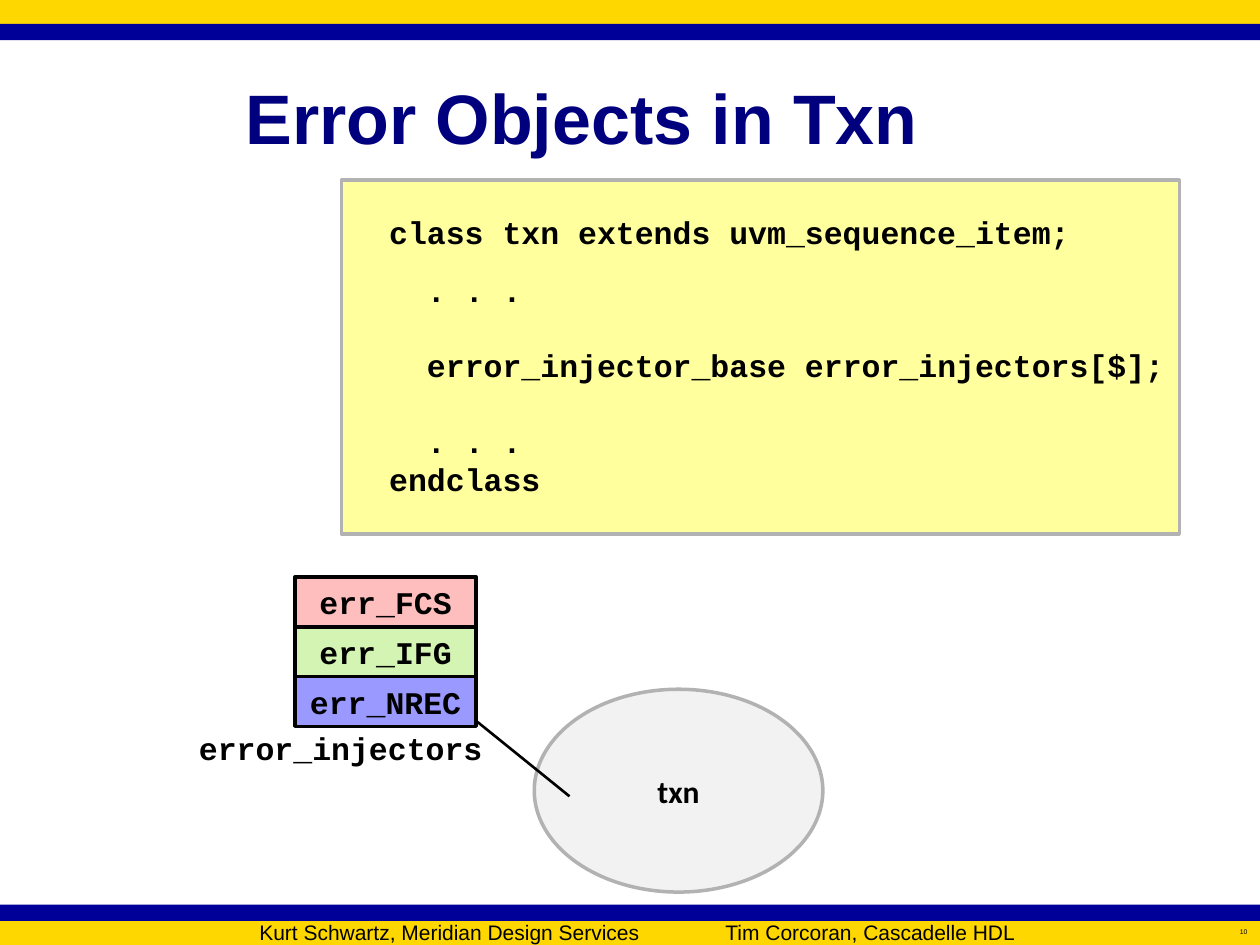
from dataclasses import dataclass

from lxml import etree
from pptx import Presentation
from pptx import util as u
from pptx.dml.color import RGBColor
from pptx.enum import shapes, text
from pptx.oxml.ns import qn

WIDTH, HEIGHT = 10, 7.5
GOLD, BLUE, NAVY = "FFD700", "000099", "00007F"
BLACK, GREY = "000000", "B2B2B2"
CODE = "Courier New"
LINE_HEIGHT = 21.6  # points per line of code
INDENT = 0.3  # two code characters
LEFT, CENTER, RIGHT = text.PP_ALIGN.LEFT, text.PP_ALIGN.CENTER, text.PP_ALIGN.RIGHT


@dataclass
class Area:
    left: float
    top: float
    width: float
    height: float

    def emu(self):
        return [u.Inches(v) for v in (self.left, self.top, self.width, self.height)]


@dataclass
class Style:
    font: str = CODE
    size: float = 18
    bold: bool = True
    color: str = BLACK
    align: text.PP_ALIGN = LEFT


@dataclass
class Line:
    words: str
    indent: float = 0
    blank_above: int = 0


def rgb(color: str) -> RGBColor:
    return RGBColor.from_string(color)


def write(shape, lines: list[Line], style: Style, middle: bool, wrap: bool = True) -> None:
    frame = shape.text_frame
    frame.word_wrap = wrap
    frame.vertical_anchor = text.MSO_ANCHOR.MIDDLE if middle else text.MSO_ANCHOR.TOP
    for number, line in enumerate(lines):
        para = frame.add_paragraph() if number else frame.paragraphs[0]
        para.text = line.words
        para.alignment = style.align
        para.font.name, para.font.size = style.font, u.Pt(style.size)
        para.font.bold, para.font.color.rgb = style.bold, rgb(style.color)
        if style.font == CODE:
            para.line_spacing = u.Pt(LINE_HEIGHT)
        if line.blank_above:
            para.space_before = u.Pt(line.blank_above * LINE_HEIGHT)
        if line.indent:
            para._p.get_or_add_pPr().set("marL", str(u.Inches(line.indent)))


def add_text(page, area: Area, lines: list[Line], style: Style, middle=False, wrap=False):
    box = page.shapes.add_textbox(*area.emu())
    write(box, lines, style, middle, wrap)
    return box


def add_block(page, area: Area, fill: str, outline: str = "", label: str = "",
              font: str = CODE, kind=shapes.MSO_SHAPE.RECTANGLE):
    block = page.shapes.add_shape(kind, *area.emu())
    block.shadow.inherit = False
    block.fill.solid()
    block.fill.fore_color.rgb = rgb(fill)
    if outline:
        block.line.color.rgb = rgb(outline)
        block.line.width = u.Pt(2)
    else:
        block.line.fill.background()
    if label:
        write(block, [Line(label)], Style(font=font, align=CENTER), middle=True)
    return block


def add_line(page, start: tuple[float, float], end: tuple[float, float]) -> None:
    line = page.shapes.add_connector(
        shapes.MSO_CONNECTOR.STRAIGHT, *[u.Inches(v) for v in start + end])
    line.line.color.rgb = rgb(BLACK)
    line.line.width = u.Pt(1.5)
    etree.SubElement(line._element.spPr, qn("a:effectLst"))


def main() -> None:
    deck = Presentation()
    deck.slide_width, deck.slide_height = u.Inches(WIDTH), u.Inches(HEIGHT)
    page = deck.slides.add_slide(deck.slide_layouts[6])

    # Gold and blue bands, mirrored at top and bottom
    gold, blue = 0.19, 0.13
    for top, height, color in (
        (0, gold, GOLD), (gold, blue, BLUE),
        (HEIGHT - gold, gold, GOLD), (HEIGHT - gold - blue, blue, BLUE),
    ):
        add_block(page, Area(0, top, WIDTH, height), color)

    # Title
    add_text(page, Area(1.85, 0.3, 8, 1.25), [Line("Error Objects in Txn")],
             Style("Arial", 40, color=NAVY), middle=True, wrap=True)

    # Footer: two authors and the page number
    footer = Style("Arial", 12, bold=False)
    for left, width, words in (
        (1.96, 3.4, "Kurt Schwartz, Meridian Design Services"),
        (5.66, 3, "Tim Corcoran, Cascadelle HDL"),
    ):
        add_text(page, Area(left, HEIGHT - gold, width, 0.17), [Line(words)],
                 footer, middle=True, wrap=True)
    add_text(page, Area(9, HEIGHT - gold, 1, 0.17), [Line("10")],
             Style("Arial", 3.9, bold=False, align=RIGHT), middle=True, wrap=True)

    # Class listing
    add_block(page, Area(2.71, 1.43, 6.65, 2.81), "FFFF9E", GREY)
    add_text(page, Area(2.99, 2.1, 6.35, 1.9), [
        Line(". . .", INDENT),
        Line("error_injector_base error_injectors[$];", INDENT, blank_above=1),
        Line(". . .", INDENT, blank_above=1),
        Line("endclass"),
    ], Style())
    add_text(page, Area(2.99, 1.64, 5.6, 0.4),
             [Line("class txn extends uvm_sequence_item;")], Style())

    # Queue of error injectors
    row = 0.395
    for number, (label, color) in enumerate((
        ("err_FCS", "FFBEBE"), ("err_IFG", "D4F4B3"), ("err_NREC", "9999FF"),
    )):
        add_block(page, Area(2.34, 4.58 + number * row, 1.44, row), color, BLACK, label)

    # Transaction and its link to the queue
    add_block(page, Area(4.24, 5.47, 2.29, 1.61), "F2F2F2", GREY, "txn",
              "Calibri", shapes.MSO_SHAPE.OVAL)
    add_line(page, (4.52, 6.32), (3.79, 5.73))
    add_text(page, Area(1.48, 5.74, 2.45, 0.4), [Line("error_injectors")], Style())

    deck.save("out.pptx")


if __name__ == "__main__":
    main()
